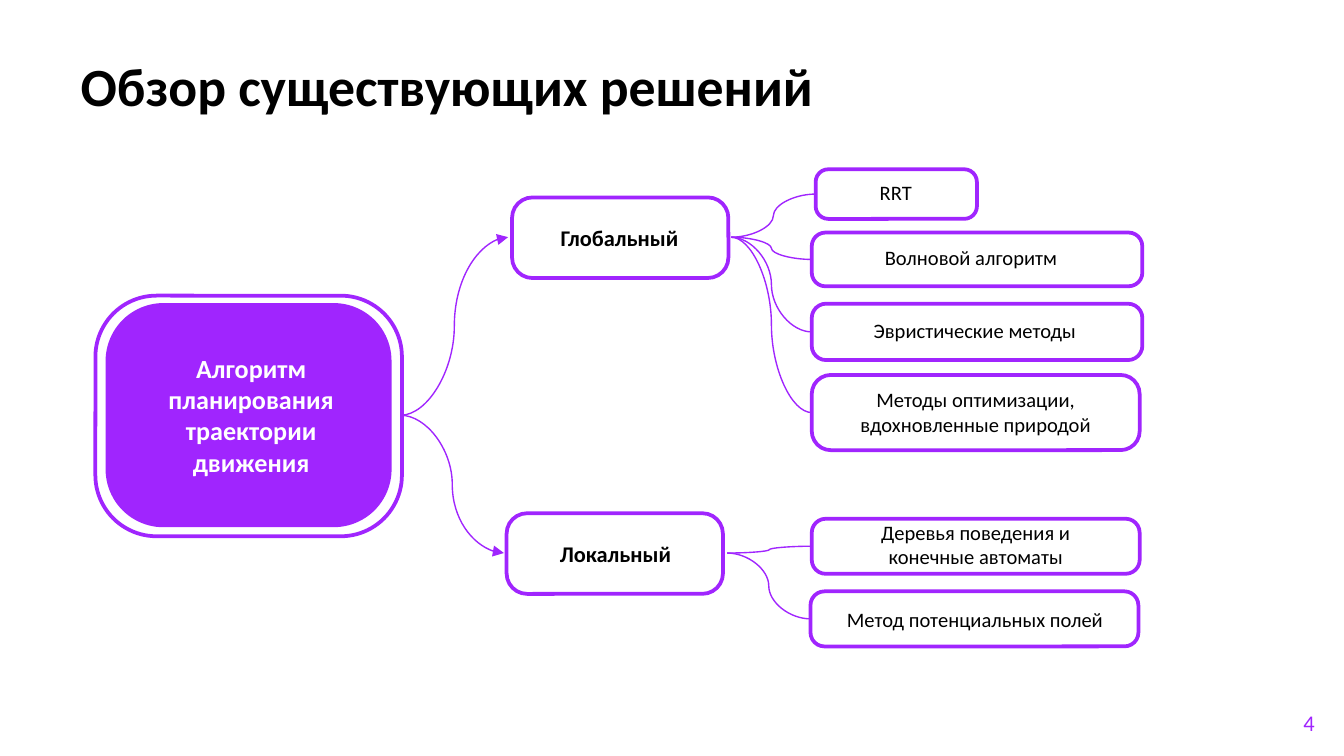
import pptx
import pptx.dml.color
import pptx.enum.shapes
import pptx.enum.text
import pptx.oxml.ns
import pptx.util
from lxml import etree

Pt = pptx.util.Pt
RGBColor = pptx.dml.color.RGBColor
PP_ALIGN = pptx.enum.text.PP_ALIGN
MSO_ANCHOR = pptx.enum.text.MSO_ANCHOR
MSO_SHAPE = pptx.enum.shapes.MSO_SHAPE
MSO_CONNECTOR = pptx.enum.shapes.MSO_CONNECTOR
qn = pptx.oxml.ns.qn

PURPLE = RGBColor(0xA0, 0x25, 0xFE)
WHITE = RGBColor(0xFF, 0xFF, 0xFF)
BLACK = RGBColor(0, 0, 0)
FONT = "Calibri"

ROOT_EXIT = (214.6, 222.5)

# Each node: text, box, label area (left, top, width, height)
GLOBAL = ("Глобальный", (274.3, 105.8, 115.9, 43.2), (272.2, 118.1, 119.5, 18))
LOCAL = ("Локальный", (271.4, 275, 115.9, 43.2), (270, 287.3, 119.5, 18))
GLOBAL_METHODS = [
    ("RRT", (437, 90.7, 86.4, 26.6), (446.4, 90, 67, 26.6)),
    ("Волновой алгоритм", (434.9, 124.6, 177.1, 28.8), (446.4, 128.9, 147.6, 18)),
    ("Эвристические методы", (434.9, 162.7, 177.1, 30.2), (444.2, 159.1, 156.2, 36)),
    ("Методы оптимизации, вдохновленные природой",
     (434.9, 200.9, 175.7, 40.3), (444.2, 207.4, 157, 26.6)),
]
LOCAL_METHODS = [
    ("Деревья поведения и конечные автоматы",
     (434.9, 277.9, 175.7, 29.5), (441.4, 273.6, 162.7, 36)),
    ("Метод потенциальных полей",
     (434.2, 316.8, 175.7, 29.5), (435.6, 316.8, 173.5, 29.5)),
]


def set_font(p, size, color, bold=False):
    p.font.name = FONT
    p.font.size = Pt(size)
    p.font.bold = bold
    p.font.color.rgb = color


def add_title(s, text):
    sp = s.shapes.title
    sp.left, sp.top, sp.width, sp.height = Pt(36), Pt(24.5), Pt(537), Pt(42)
    tf = sp.text_frame
    tf.text = text
    tf.auto_size = pptx.enum.text.MSO_AUTO_SIZE.NONE
    tf.vertical_anchor = MSO_ANCHOR.MIDDLE
    p = tf.paragraphs[0]
    p.alignment = PP_ALIGN.LEFT
    set_font(p, 28.8, BLACK, bold=True)


def add_box(s, area, fill=WHITE):
    sp = s.shapes.add_shape(MSO_SHAPE.ROUNDED_RECTANGLE, *map(Pt, area))
    sp.adjustments[0] = 0.254
    sp.shadow.inherit = False
    sp.fill.solid()
    sp.fill.fore_color.rgb = fill
    sp.line.color.rgb = PURPLE
    sp.line.width = Pt(2)


def add_label(s, text, area, size, color=BLACK, bold=False):
    tf = s.shapes.add_textbox(*map(Pt, area)).text_frame
    tf.word_wrap = True
    tf.vertical_anchor = MSO_ANCHOR.MIDDLE
    p = tf.paragraphs[0]
    p.text = text
    p.alignment = PP_ALIGN.CENTER
    set_font(p, size, color, bold)


def add_node(s, node, size, bold=False):
    text, box, label = node
    add_box(s, box)
    add_label(s, text, label, size, bold=bold)


def add_curve(s, start, end, arrow=False):
    c = s.shapes.add_connector(MSO_CONNECTOR.CURVE, *map(Pt, start + end))
    c.line.color.rgb = PURPLE
    c.line.width = Pt(0.75)
    if arrow:
        etree.SubElement(c.line._get_or_add_ln(), qn("a:tailEnd"), type="triangle")
    etree.SubElement(c._element.spPr, qn("a:effectLst"))


def add_branch(s, node, methods):
    """Draw a middle node, its methods and the curves that join them."""
    add_node(s, node, 12, bold=True)
    left, top, width, height = node[2]
    middle = top + height / 2
    add_curve(s, ROOT_EXIT, (left, middle), arrow=True)
    for method in methods:
        add_node(s, method, 11)
        x, y, _, h = method[1]
        add_curve(s, (left + width, middle), (x, y + h / 2))


def add_root(s):
    add_box(s, (51.1, 158.4, 164.2, 128.9))
    add_box(s, (57.6, 163.4, 151.2, 118.1), fill=PURPLE)
    add_label(s, "Алгоритм планирования траектории движения",
              (62.6, 166.3, 144, 111.6), 14, WHITE, bold=True)


def add_page_number(s, text):
    tf = s.shapes.add_textbox(Pt(691.2), Pt(376.6), Pt(22.3), Pt(21.6)).text_frame
    tf.word_wrap = False
    p = tf.paragraphs[0]
    p.text = text
    set_font(p, 12, PURPLE)


def main():
    prs = pptx.Presentation()
    prs.slide_width, prs.slide_height = Pt(720), Pt(405)
    s = prs.slides.add_slide(prs.slide_layouts[5])
    add_title(s, "Обзор существующих решений")
    add_root(s)
    add_branch(s, GLOBAL, GLOBAL_METHODS)
    add_branch(s, LOCAL, LOCAL_METHODS)
    add_page_number(s, "4")
    prs.save("out.pptx")


if __name__ == "__main__":
    main()
